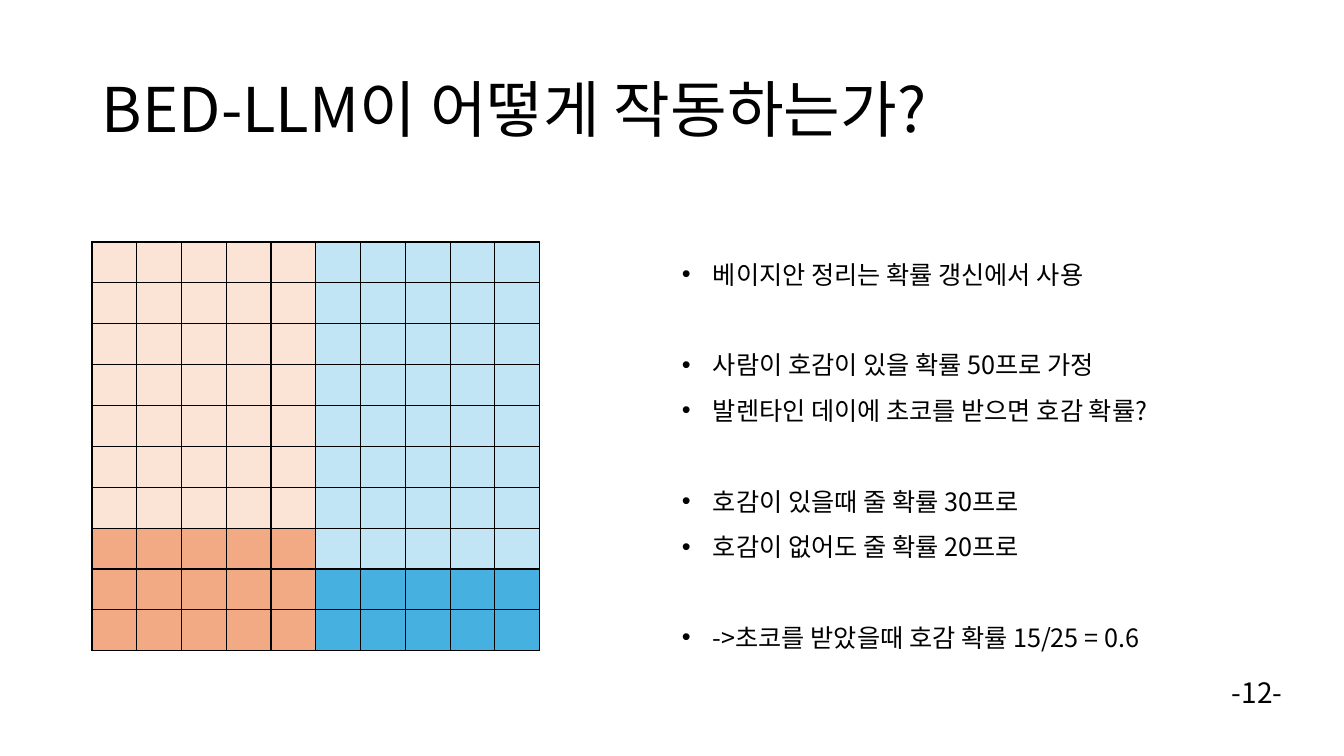
from pptx import Presentation
from pptx import util as u
from pptx.dml.color import RGBColor
from pptx.enum import text
from pptx.oxml import parse_xml
from pptx.oxml.ns import nsdecls, qn
from lxml import etree

SCALE = 914400 / 100.8  # EMU per px
COLORS = {
    "ink": "000000",
    "liking": "FBE3D6",
    "liking_gift": "F2AA84",
    "no_liking": "C1E5F5",
    "no_liking_gift": "46B1E1",
}


def px(length):
    return u.Emu(round(length * SCALE))


def color(name):
    return RGBColor.from_string(COLORS[name])


class SlideBuilder:
    font_name = "Noto Sans CJK KR"

    def __init__(self, presentation):
        self.slide = presentation.slides.add_slide(presentation.slide_layouts[6])

    def style(self, paragraph, size):
        font = paragraph.font
        font.name, font.size = self.font_name, u.Pt(size)
        font.color.rgb = color("ink")
        defaults = paragraph._p.pPr.find(qn("a:defRPr"))
        etree.SubElement(defaults, qn("a:ea"), typeface=self.font_name)

    def text_box(self, left, top, width, height, lines, size, wrap=True,
                 anchor=text.MSO_ANCHOR.TOP, spacing=None, indent=0):
        """Add (text, space before) lines; an indent also gives bullets."""
        shape = self.slide.shapes.add_textbox(px(left), px(top), px(width), px(height))
        frame = shape.text_frame
        frame.word_wrap, frame.vertical_anchor = wrap, anchor
        for index, (words, before) in enumerate(lines):
            paragraph = frame.add_paragraph() if index else frame.paragraphs[0]
            paragraph.text = words
            if spacing:
                paragraph.line_spacing = spacing
            if before:
                paragraph.space_before = before
            if indent:
                properties = paragraph._p.get_or_add_pPr()
                properties.set("marL", str(px(indent)))
                properties.set("indent", str(-px(indent)))
                etree.SubElement(properties, qn("a:buFont"), typeface="Arial")
                etree.SubElement(properties, qn("a:buChar"), char="•")
            self.style(paragraph, size)

    def grid(self, left, top, width, height, count, fill_for):
        """Add a square count of cells, coloured by fill_for(row, column)."""
        frame = self.slide.shapes.add_table(
            count, count, px(left), px(top), px(width), px(height))
        table = frame.table
        table.first_row = table.horz_banding = False
        for row in range(count):
            table.rows[row].height = px(height / count)
            table.columns[row].width = px(width / count)
            for column in range(count):
                cell = table.cell(row, column)
                cell.margin_top = cell.margin_bottom = 0
                self.borders(cell)
                cell.fill.solid()
                cell.fill.fore_color.rgb = color(fill_for(row, column))

    def borders(self, cell):
        properties = cell._tc.get_or_add_tcPr()
        for side in "LRTB":
            properties.append(parse_xml(
                f'<a:ln{side} {nsdecls("a")} w="{u.Pt(1)}"><a:solidFill>'
                f'<a:srgbClr val="{COLORS["ink"]}"/></a:solidFill></a:ln{side}>'))


def probability_fill(row, column):
    """Left half likes, right half does not; bottom rows give chocolate."""
    group, gift_rows = ("liking", 3) if column < 5 else ("no_liking", 2)
    return f"{group}_gift" if row >= 10 - gift_rows else group


def main():
    presentation = Presentation()
    presentation.slide_width, presentation.slide_height = px(1344), px(756)
    builder = SlideBuilder(presentation)

    # Title and page number
    builder.text_box(92, 40, 1159, 146, [("BED-LLM이 어떻게 작동하는가?", None)], 44,
                     anchor=text.MSO_ANCHOR.MIDDLE, spacing=0.9)
    builder.text_box(1222, 671, 75, 44, [("-12-", None)], 20, wrap=False)

    # Probability grid
    builder.grid(92, 242, 448, 409, 10, probability_fill)

    # Explanation, with one line of space between groups
    line = u.Pt(32.4)
    explanation = [
        ("베이지안 정리는 확률 갱신에서 사용", None),
        ("사람이 호감이 있을 확률 50프로 가정", line),
        ("발렌타인 데이에 초코를 받으면 호감 확률?", None),
        ("호감이 있을때 줄 확률 30프로", line),
        ("호감이 없어도 줄 확률 20프로", None),
        ("->초코를 받았을때 호감 확률 15/25 = 0.6", line),
    ]
    builder.text_box(672, 239, 541, 416, explanation, 18, wrap=False,
                     spacing=line, indent=31)

    presentation.save("out.pptx")


if __name__ == "__main__":
    main()
